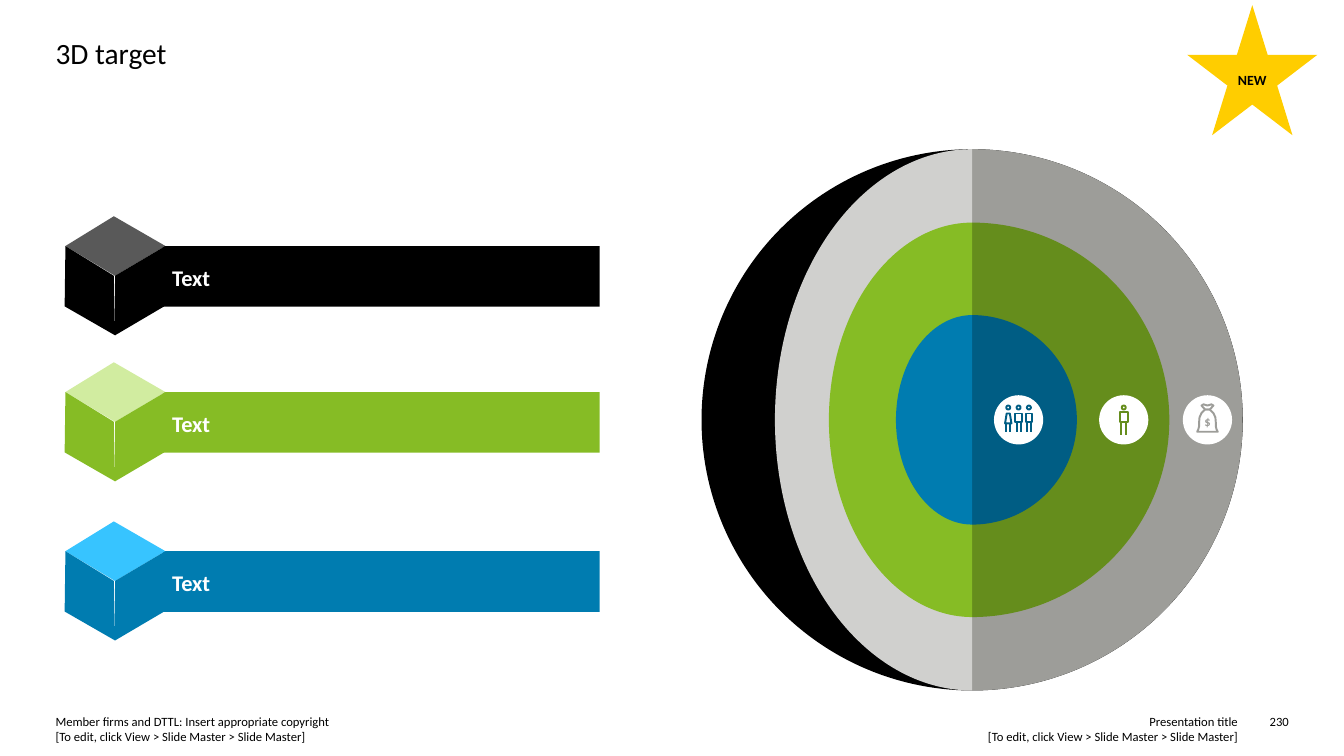
"""Builds the 3D target slide: three cube labels and a layered target."""
from pptx import Presentation
from pptx.dml.color import RGBColor
from pptx.enum.shapes import MSO_CONNECTOR, MSO_SHAPE as Shape
from pptx.enum.text import MSO_ANCHOR as Anchor, PP_ALIGN as Align
from pptx.oxml.ns import qn
from pptx.util import Cm, Pt
from lxml.etree import SubElement

BLACK = RGBColor(0x00, 0x00, 0x00)
WHITE = RGBColor(0xFF, 0xFF, 0xFF)
CHARCOAL = RGBColor(0x59, 0x59, 0x59)
GREY = RGBColor(0x9D, 0x9D, 0x99)
LIGHT_GREY = RGBColor(0xD0, 0xD0, 0xCE)
GREEN = RGBColor(0x86, 0xBC, 0x25)
DARK_GREEN = RGBColor(0x65, 0x8D, 0x1C)
PALE_GREEN = RGBColor(0xD1, 0xEC, 0xA0)
BLUE = RGBColor(0x00, 0x7C, 0xB0)
DARK_BLUE = RGBColor(0x00, 0x5D, 0x84)
PALE_BLUE = RGBColor(0x37, 0xC4, 0xFF)
YELLOW = RGBColor(0xFF, 0xCD, 0x00)

CENTRE_X, CENTRE_Y = 24.5, 10.58
RINGS = [(6.82, 4.97, GREY, LIGHT_GREY),
         (4.97, 3.61, DARK_GREEN, GREEN),
         (2.64, 1.92, DARK_BLUE, BLUE)]
LABELS = [(6.2, BLACK, CHARCOAL), (9.88, GREEN, PALE_GREEN), (13.89, BLUE, PALE_BLUE)]
CUBE_TOP = [(1.65, 0), (2.87, -0.75), (4.17, 0), (2.9, 0.75)]
CUBE_RIGHT = [(2.9, 0.75), (2.9, 2.25), (4.14, 1.52), (4.17, 0)]
CUBE_LEFT = [(1.63, 1.52), (1.65, 0), (2.87, 0.75), (2.9, 2.25)]
SUIT = [(-0.08, -0.16), (0.08, -0.16), (0.08, 0.05), (-0.08, 0.05)]
DRESS = [(-0.04, -0.16), (0.04, -0.16), (0.08, 0.09), (-0.08, 0.09)]
BAG_HALF = [(0.06, -0.26), (0.15, -0.17), (0.2, -0.06), (0.21, 0.06),
            (0.21, 0.16), (0.23, 0.24), (0.26, 0.3)]
BAG = BAG_HALF + [(-x, y) for x, y in reversed(BAG_HALF)]
BAG_NECK = [(0.06, -0.26), (0.15, -0.36), (0.1, -0.39), (0, -0.36),
            (-0.1, -0.39), (-0.15, -0.36), (-0.06, -0.26)]


class SlideBuilder:
    """Holds the slide and its style, and draws each kind of element."""

    font = "Calibri"
    stroke = Pt(1.4)

    def __init__(self, slide):
        self.slide = slide
        self.shapes = slide.shapes

    def paint(self, shape, fill=None, line=None):
        """Set fill and line, leaving out whichever is not given."""
        shape.shadow.inherit = False
        for part, color in ((shape.fill, fill), (shape.line.fill, line)):
            if color is None:
                part.background()
            else:
                part.solid()
                part.fore_color.rgb = color
        if line is not None:
            shape.line.width = self.stroke
        return shape

    def preset(self, kind, left, top, width, height, fill=None, line=None):
        """Add a preset shape."""
        shape = self.shapes.add_shape(kind, Cm(left), Cm(top), Cm(width), Cm(height))
        return self.paint(shape, fill, line)

    def disc(self, x, y, radius, fill=None, line=None):
        """Add a circle about a centre."""
        return self.preset(Shape.OVAL, x - radius, y - radius, 2 * radius, 2 * radius, fill, line)

    def half_ellipse(self, half_width, half_height, start, end, fill):
        """Add one half of a target ring."""
        half = self.preset(Shape.ARC, CENTRE_X - half_width, CENTRE_Y - half_height,
                           2 * half_width, 2 * half_height, fill)
        half.adjustments[0], half.adjustments[1] = start, end

    def polygon(self, points, x, y, fill=None, line=None, scale=1):
        """Add a closed outline placed at x, y."""
        spots = [(Cm(x + px * scale), Cm(y + py * scale)) for px, py in points]
        builder = self.shapes.build_freeform(*spots[0])
        builder.add_line_segments(spots[1:], close=True)
        return self.paint(builder.convert_to_shape(), fill, line)

    def stick(self, x, top, bottom, color):
        """Add an upright line."""
        stick = self.shapes.add_connector(MSO_CONNECTOR.STRAIGHT, Cm(x), Cm(top), Cm(x), Cm(bottom))
        stick.line.color.rgb = color
        stick.line.width = self.stroke
        SubElement(stick.element.spPr, qn("a:effectLst"))

    def set_text(self, shape, text, size, color=BLACK, bold=False, align=Align.LEFT,
                 anchor=Anchor.TOP, inset=0.0, spacing=1.0):
        """Put formatted text into a shape."""
        frame = shape.text_frame
        frame.word_wrap = True
        frame.vertical_anchor = anchor
        frame.margin_left = frame.margin_right = Cm(inset)
        frame.margin_top = frame.margin_bottom = Cm(inset)
        paragraph = frame.paragraphs[0]
        paragraph.text = text
        paragraph.alignment = align
        paragraph.line_spacing = spacing
        font = paragraph.font
        font.name, font.size, font.bold = self.font, Pt(size), bold
        font.color.rgb = color

    def title(self, text):
        """Fill and place the title placeholder."""
        title = self.shapes.title
        title.left, title.top, title.width, title.height = Cm(1.4), Cm(0.89), Cm(31.09), Cm(0.94)
        self.set_text(title, text, 21)

    def note(self, text, left, top, width, height, size=9, **style):
        """Add a text box."""
        box = self.shapes.add_textbox(Cm(left), Cm(top), Cm(width), Cm(height))
        self.set_text(box, text, size, **style)

    def cube_label(self, top, color, lid):
        """Add a bar with a cube at its left end."""
        bar = self.preset(Shape.RECTANGLE, 4.09, top, 11.02, 1.53, color)
        self.set_text(bar, "Text", 16, WHITE, True, anchor=Anchor.MIDDLE, inset=0.25, spacing=1.06)
        for face, fill in ((CUBE_TOP, lid), (CUBE_RIGHT, color), (CUBE_LEFT, color)):
            self.polygon(face, 0, top, fill)

    def badge(self, x):
        """Add the white disc behind an icon."""
        self.disc(x, CENTRE_Y, 0.62, WHITE)

    def person(self, x, clothes, color, scale=1.0):
        """Add a standing figure."""
        self.disc(x, CENTRE_Y - 0.31, 0.05, line=color)
        self.polygon(clothes, x, CENTRE_Y, line=color, scale=scale)
        hem = CENTRE_Y + clothes[-1][1] * scale
        for side in (-0.05, 0.05):
            self.stick(x + side * scale, hem, CENTRE_Y + 0.31 * scale, color)

    def money_bag(self, x, color):
        """Add a money bag."""
        for outline in (BAG, BAG_NECK):
            self.polygon(outline, x, CENTRE_Y, line=color)
        self.note("$", x - 0.25, CENTRE_Y - 0.19, 0.5, 0.45, color=color, bold=True,
                  align=Align.CENTER, anchor=Anchor.MIDDLE)


def main():
    """Build and save the slide."""
    deck = Presentation()
    deck.slide_width, deck.slide_height = Cm(33.87), Cm(19.05)
    page = SlideBuilder(deck.slides.add_slide(deck.slide_layouts[5]))

    page.title("3D target")
    edit_hint = "\n[To edit, click View > Slide Master > Slide Master]"
    page.note("Presentation title" + edit_hint, 17.6, 17.98, 13.59, 0.76, align=Align.RIGHT)
    page.note("Member firms and DTTL: Insert appropriate copyright" + edit_hint,
              1.4, 17.98, 14.88, 0.76)
    page.note("230", 31.62, 17.98, 0.86, 0.38, align=Align.RIGHT)

    for top, color, lid in LABELS:
        page.cube_label(top, color, lid)

    page.disc(CENTRE_X, CENTRE_Y, RINGS[0][0], BLACK)
    for radius, left_radius, right_color, left_color in RINGS:
        page.half_ellipse(radius, radius, 162, 54, right_color)
        page.half_ellipse(left_radius, radius, 54, 162, left_color)

    team_x, worker_x, money_x = 25.67, 28.32, 30.43
    for x in (team_x, worker_x, money_x):
        page.badge(x)
    for place, clothes in enumerate((DRESS, SUIT, SUIT), start=-1):
        page.person(team_x + place * 0.26, clothes, DARK_BLUE)
    page.person(worker_x, SUIT, DARK_GREEN, 1.2)
    page.money_bag(money_x, GREY)

    star = page.preset(Shape.STAR_5_POINT, 29.92, 0.13, 3.28, 3.28, YELLOW)
    page.set_text(star, "NEW", 10, bold=True, align=Align.CENTER, anchor=Anchor.MIDDLE,
                  inset=0.25, spacing=1.06)
    deck.save("out.pptx")


if __name__ == "__main__":
    main()
